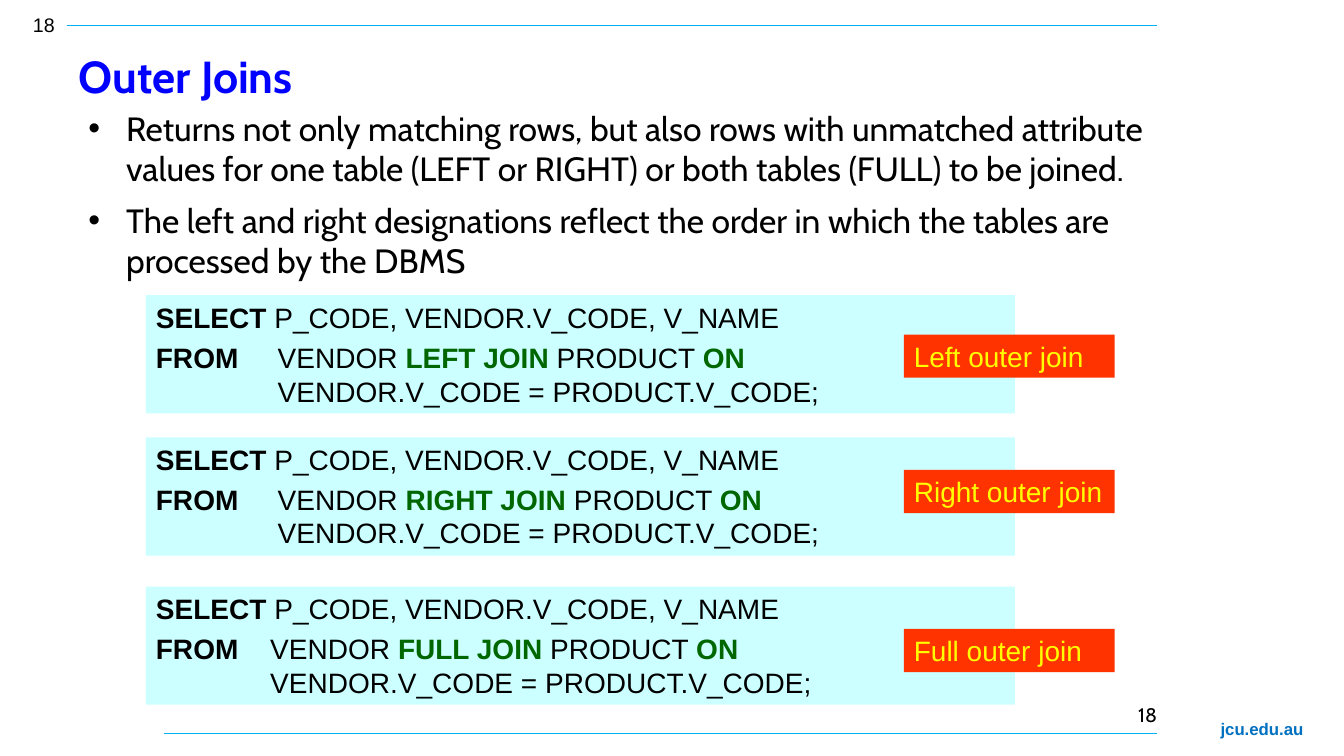
from lxml import etree
from pptx import Presentation
from pptx.dml.color import RGBColor
from pptx.enum.shapes import MSO_CONNECTOR, MSO_SHAPE
from pptx.enum.text import MSO_ANCHOR, PP_ALIGN
from pptx.oxml.ns import qn
from pptx.util import Cm, Pt

RECT = MSO_SHAPE.RECTANGLE
LINE = MSO_CONNECTOR.STRAIGHT
TOP, MID = MSO_ANCHOR.TOP, MSO_ANCHOR.MIDDLE
LEFT, RIGHT = PP_ALIGN.LEFT, PP_ALIGN.RIGHT

HUES = {"ink": "000000", "title": "0000FF", "rule": "00B0F0", "site": "0070C0",
        "code": "CCFFFF", "join": "006600", "tag": "FF3300", "label": "FFFF00"}

PAGE = {"size": Pt(14), "name": "Arial"}
CODE = {"size": Pt(20), "name": "Arial"}
BODY = {"size": Pt(24), "name": "Cabin"}

POINTS = [
    "Returns not only matching rows, but also rows with unmatched attribute "
    "values for one table (LEFT or RIGHT) or both tables (FULL) to be joined.",
    "The left and right designations reflect the order in which the tables are "
    "processed by the DBMS",
]

# join, box top, tag offset, tab stop, space between lines (cm, points)
JOINS = [("Left", 7.44, 0.99, 3.07, 5),
         ("Right", 11.02, 0.82, 3.07, 4.5),
         ("Full", 14.78, 1.07, 2.88, 4.5)]


def hue(key):
    return RGBColor.from_string(HUES[key])


def add_run(para, text, form, color="ink", bold=False):
    font_run = para.add_run()
    font_run.text = text
    for key, value in {**form, "bold": bold}.items():
        setattr(font_run.font, key, value)
    font_run.font.color.rgb = hue(color)


def add_child(node, tag, **attrs):
    child = etree.SubElement(node, qn(tag))
    for key, value in attrs.items():
        child.set(key, str(value))
    return child


def set_frame(shape, anchor=TOP):
    frame = shape.text_frame
    frame.word_wrap = True
    frame.vertical_anchor = anchor
    frame.paragraphs[0].alignment = LEFT
    return frame


def add_box(slide, box, anchor=TOP):
    return set_frame(slide.shapes.add_textbox(*map(Cm, box)), anchor)


def add_panel(slide, box, fill):
    panel = slide.shapes.add_shape(RECT, *map(Cm, box))
    panel.shadow.inherit = False
    panel.fill.solid()
    panel.fill.fore_color.rgb = hue(fill)
    panel.line.fill.background()
    return set_frame(panel)


def add_rule(slide, left, right, y):
    rule = slide.shapes.add_connector(LINE, Cm(left), Cm(y), Cm(right), Cm(y))
    rule.line.color.rgb = hue("rule")
    rule.line.width = Pt(0.5)
    add_child(rule._element.spPr, "a:effectLst")


def add_edges(slide, box):
    """Rules, page numbers and site name around the page."""
    left, top, width, height = box
    foot = top + height
    add_rule(slide, left + 4.14, left + 29.16, foot - 0.56)
    add_rule(slide, left + 1.68, left + 29.16, top + 0.64)
    site = add_box(slide, (left + width - 3.36, foot - 1.07, 2.8, 0.76))
    add_run(site.paragraphs[0], "jcu.edu.au", {**PAGE, "size": Pt(12)}, "site", True)
    head = add_box(slide, (left + 0.58, top + 0.2, 1.27, 0.94))
    add_run(head.paragraphs[0], "18", PAGE)
    page = add_box(slide, (left + 24.13, foot - 1.47, 5.28, 1.27)).paragraphs[0]
    page.alignment = RIGHT
    add_run(page, "18", {**PAGE, "name": "Cabin"})


def add_title(slide, box):
    title = add_box(slide, box, MID)
    add_run(title.paragraphs[0], "Outer Joins", {**BODY, "size": Pt(32)}, "title", True)


def add_points(slide, box):
    frame = add_box(slide, box)
    for i, text in enumerate(POINTS):
        para = frame.add_paragraph() if i else frame.paragraphs[0]
        props = para._p.get_or_add_pPr()
        props.set("marL", str(Cm(0.95)))
        props.set("indent", str(-Cm(0.95)))
        add_child(add_child(props, "a:buClr"), "a:srgbClr", val=HUES["ink"])
        add_child(props, "a:buFont", typeface="Arial")
        add_child(props, "a:buChar", char="•")
        if i:
            para.space_before = Pt(8)
        add_run(para, text, BODY)


def add_join(slide, box, kind, drop, stop, gap):
    """One query panel with its tag over the right edge."""
    left, top, width, _ = box
    frame = add_panel(slide, box, "code")
    first = frame.paragraphs[0]
    add_run(first, "SELECT", CODE, bold=True)
    add_run(first, " P_CODE, VENDOR.V_CODE, V_NAME", CODE)

    source = frame.add_paragraph()
    source.alignment = LEFT
    tabs = add_child(source._p.get_or_add_pPr(), "a:tabLst")
    add_child(tabs, "a:tab", pos=Cm(stop), algn="l")
    source.space_before = Pt(gap)
    add_run(source, "FROM", CODE, bold=True)
    add_run(source, "\tVENDOR ", CODE)
    add_run(source, f"{kind.upper()} JOIN", CODE, "join", True)
    add_run(source, " PRODUCT ", CODE)
    add_run(source, "ON", CODE, "join", True)
    source.add_line_break()
    add_run(source, "\tVENDOR.V_CODE = PRODUCT.V_CODE;", CODE)

    tag = add_panel(slide, (left + width - 2.8, top + drop, 5.31, 1.09), "tag")
    add_run(tag.paragraphs[0], f"{kind} outer join", CODE, "label")


def main():
    deck = Presentation()
    deck.slide_width, deck.slide_height = Cm(33.87), Cm(19.05)
    slide = deck.slides.add_slide(deck.slide_layouts[6])
    add_edges(slide, (0, 0, 33.87, 19.05))
    add_title(slide, (1.73, 0.91, 18, 2))
    add_points(slide, (1.98, 2.59, 28.8, 13))
    for kind, top, drop, stop, gap in JOINS:
        add_join(slide, (3.68, top, 21.9, 2.98), kind, drop, stop, gap)
    deck.save("out.pptx")


if __name__ == "__main__":
    main()
